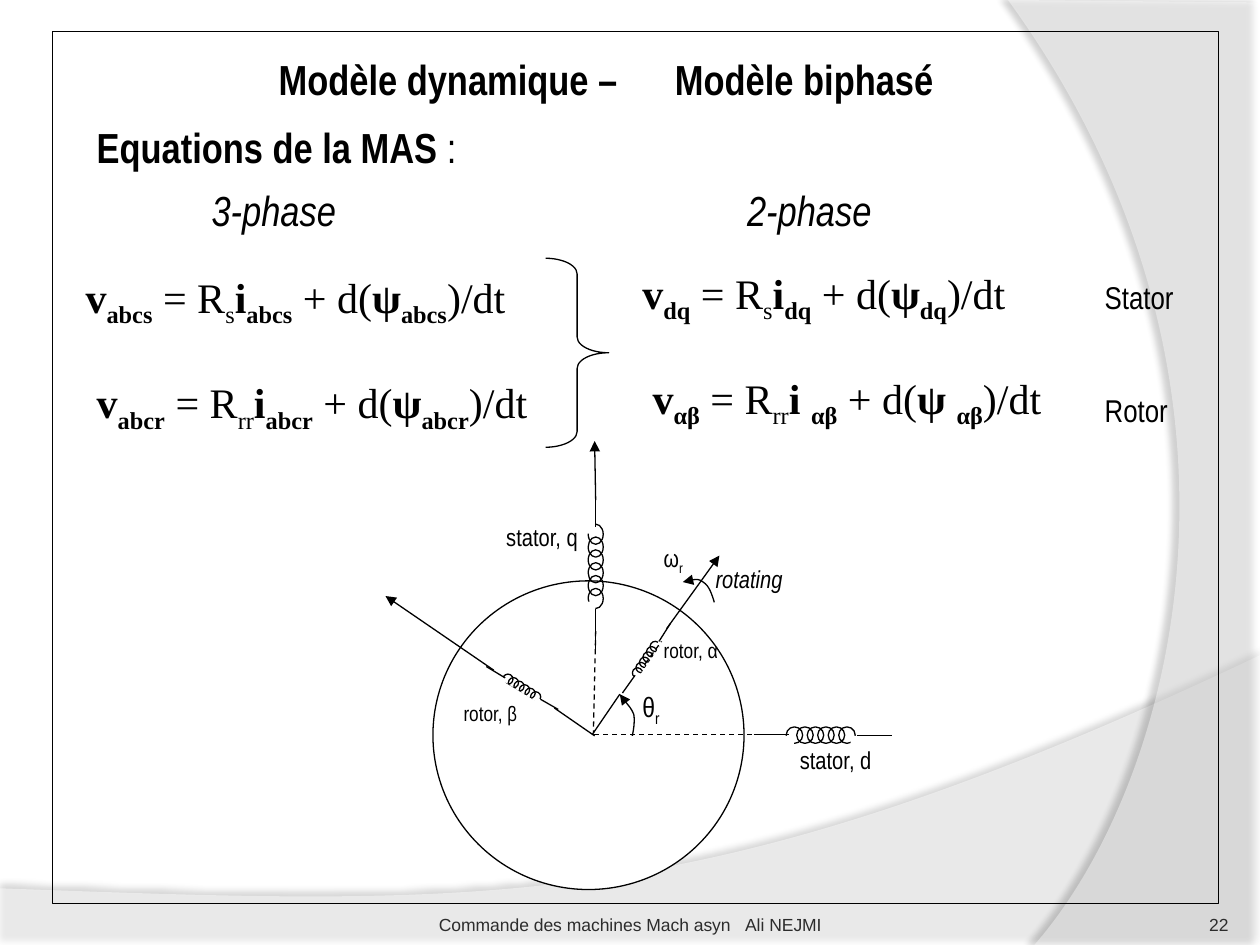
from dataclasses import dataclass
from typing import NamedTuple

from lxml import etree
from pptx import Presentation
from pptx.dml.color import RGBColor
from pptx.enum import dml, shapes, text
from pptx.oxml import ns
from pptx.util import Pt

BLACK = RGBColor(0x00, 0x00, 0x00)
WHITE = RGBColor(0xFF, 0xFF, 0xFF)
FOOTER_GREY = RGBColor(0x2C, 0x2C, 0x2C)
NARROW, SERIF, SANS = "Arial Narrow", "Times New Roman", "Arial"
LINE_WIDTH = 0.75
LOOPS = 6
Point = tuple[float, float]
Segment = tuple[Point, ...]  # one point for a line, three for a Bézier curve
Shape = shapes.MSO_SHAPE


class Run(NamedTuple):
    text: str
    bold: bool = False
    italic: bool = False
    subscript: bool = False


class Wire(NamedTuple):
    start: Point
    end: Point
    dashed: bool = False
    arrow: bool = False


class Mask(NamedTuple):
    """White rectangle hiding a part of a coil's loops."""
    center: Point
    size: Point


@dataclass
class Coil:
    first: Point
    step: Point
    loop: Point
    rotation: float
    masks: list[Mask]


@dataclass
class Label:
    box: tuple[float, float, float, float]
    runs: list[Run]
    size: float
    font: str = NARROW
    wrap: bool = True
    middle: bool = False


def equation(box, subscript: str, resistance: str, gap: str = "") -> Label:
    index = Run(subscript, bold=True, subscript=True)
    runs = [Run("v", True), index, Run(" = R"), Run(resistance, subscript=True),
            Run("i" + gap, True), index, Run(" + d("), Run("ψ" + gap, True), index, Run(")/dt")]
    return Label(box, runs, 24, SERIF, wrap=False, middle=True)


COILS = [
    Coil((454, 420.1), (6, 0), (9.4, 9.4), 0,
         [Mask((449.3, 425.2), (8.6, 9.4)), Mask((490.3, 425.2), (8.6, 9.4))]),
    Coil((340.4, 305.3), (0, 7.34), (11.5, 8.6), 90,
         [Mask((335.9, 299.5), (10.8, 8.6)), Mask((335.9, 349.2), (10.8, 8.6))]),
    Coil((364.3, 384.5), (2.02, -3.02), (5.8, 5.8), 304.9,
         [Mask((374.8, 380.2), (25.2, 8.6)), Mask((364.7, 388.1), (5, 5.8)),
          Mask((379.1, 367.9), (5, 5.8))]),
    Coil((290.2, 388.1), (3.17, 2.02), (5.8, 5.8), 31.1,
         [Mask((294.8, 398.9), (25.2, 8.6)), Mask((286.2, 389.5), (5, 5.8)),
          Mask((307.8, 402.5), (5, 5.8))]),
]
WIRES = [
    # stator d
    Wire((430.6, 419.8), (450.7, 419.8)), Wire((489.6, 420.2), (509.8, 420.2)),
    Wire((429.8, 419.8), (337, 419.8), dashed=True),
    # stator q
    Wire((340.4, 276.5), (340.4, 301)), Wire((340.4, 347.8), (340.4, 372.2)),
    Wire((340.4, 360.7), (339.1, 419), dashed=True),
    Wire((340.4, 285.8), (339.8, 252), arrow=True),
    # rotor α
    Wire((355.7, 396), (362.9, 385.9)), Wire((376.6, 366.5), (383, 356.4)),
    Wire((354.2, 396.7), (338.4, 419.8)), Wire((368.6, 379.4), (378, 366.5), dashed=True),
    Wire((380.9, 359.3), (411.1, 317.5), arrow=True),
    # rotor β
    Wire((277.9, 380.9), (288.7, 387.4)), Wire((308.9, 399.6), (319, 405.4)),
    Wire((316.8, 404.6), (339.8, 420.5)), Wire((282.2, 383), (220.3, 340.6), arrow=True),
]
DIAGRAM_LABELS = [
    Label((360, 390.2, 37.4, 22.3), [Run("θ"), Run("r", subscript=True)], 16),
    Label((282.2, 294.5, 66.2, 23.8), [Run("stator, q")], 14),
    Label((257.8, 396.7, 64, 35.3), [Run("rotor, β")], 12),
    Label((372.2, 360.7, 84.2, 35.3), [Run("rotor, α")], 12),
    Label((450, 422.4, 74.9, 35.3), [Run("stator, d")], 14),
    Label((401.8, 318.5, 52.6, 23.8), [Run("rotating", italic=True)], 14, wrap=False),
    Label((372.2, 306.7, 26.6, 23.8), [Run("ω"), Run("r", subscript=True)], 14, wrap=False),
]
SLIDE_LABELS = [
    equation((41.8, 153.4, 267, 36), "abcs", "s"),
    equation((48.2, 213.8, 276.5, 36), "abcr", "rr"),
    equation((360, 151.2, 229.7, 36), "dq", "s"),
    equation((365.8, 211, 249, 36), "αβ", "rr", gap=" "),
    Label((48.2, 65.8, 222.5, 36.7), [Run("Equations de la MAS", True), Run(" :")], 24, wrap=False),
    Label((113.8, 102.2, 85.7, 36), [Run("3-phase", italic=True)], 24, wrap=False),
    Label((419.8, 102.2, 85.7, 36), [Run("2-phase", italic=True)], 24, wrap=False),
]


def format_runs(paragraph, size: float, font: str, color=BLACK, bold=None) -> None:
    for run in paragraph.runs:
        run.font.size, run.font.name = Pt(size), font
        run.font.color.rgb = color
        if bold is not None:
            run.font.bold = bold


def add_box(parent, box):
    return parent.add_textbox(*map(Pt, box))


def draw_label(parent, label: Label) -> None:
    frame = add_box(parent, label.box).text_frame
    frame.word_wrap = label.wrap
    if label.middle:
        frame.vertical_anchor = text.MSO_ANCHOR.MIDDLE
    paragraph = frame.paragraphs[0]
    for part in label.runs:
        run = paragraph.add_run()
        run.text = part.text
        run.font.bold, run.font.italic = part.bold, part.italic
        if part.subscript:
            run._r.get_or_add_rPr().set("baseline", "-25000")
    format_runs(paragraph, label.size, label.font)


def set_tab(paragraph, position: float) -> None:
    tabs = etree.SubElement(paragraph._p.get_or_add_pPr(), ns.qn("a:tabLst"))
    etree.SubElement(tabs, ns.qn("a:tab"), pos=str(Pt(position)), algn="l")


def set_line(line, dashed: bool = False, arrow: bool = False) -> None:
    line.color.rgb, line.width = BLACK, Pt(LINE_WIDTH)
    if dashed:
        line.dash_style = dml.MSO_LINE.DASH
    if arrow:
        etree.SubElement(line._get_or_add_ln(), ns.qn("a:tailEnd"), type="triangle")


def draw_shape(parent, kind, center: Point, size: Point, rotation=0.0, filled=False, outlined=True):
    corner = [c - s / 2 for c, s in zip(center, size)]
    shape = parent.add_shape(kind, *map(Pt, (*corner, *size)))
    shape.rotation, shape.shadow.inherit = rotation, False
    if filled:
        shape.fill.solid()
        shape.fill.fore_color.rgb = WHITE
    else:
        shape.fill.background()
    if outlined:
        set_line(shape.line)
    else:
        shape.line.fill.background()
    return shape


def draw_coil(parent, coil: Coil) -> None:
    for i in range(LOOPS):
        center = (coil.first[0] + i * coil.step[0], coil.first[1] + i * coil.step[1])
        draw_shape(parent, Shape.OVAL, center, coil.loop, coil.rotation)
    for mask in coil.masks:
        draw_shape(parent, Shape.RECTANGLE, *mask, coil.rotation, filled=True, outlined=False)


def draw_wire(parent, wire: Wire) -> None:
    line = parent.add_connector(shapes.MSO_CONNECTOR.STRAIGHT, *map(Pt, (*wire.start, *wire.end)))
    set_line(line.line, wire.dashed, wire.arrow)
    etree.SubElement(line._element.spPr, ns.qn("a:effectLst"))


def draw_outline(parent, start: Point, segments: list[Segment], close: bool):
    """Build the outline from its corners, then bend the segments that have control points."""
    builder = parent.build_freeform(*map(Pt, start))
    builder.add_line_segments([tuple(map(Pt, segment[-1])) for segment in segments], close=close)
    shape = builder.convert_to_shape()
    shape.shadow.inherit = False
    corners = [start] + [segment[-1] for segment in segments]
    left, top = (min(values) for values in zip(*corners))
    lines = list(shape._element.iter(ns.qn("a:lnTo")))
    for line, segment in zip(lines, segments):
        if len(segment) == 3:
            line.tag = ns.qn("a:cubicBezTo")
            for index, (x, y) in enumerate(segment[:2]):
                control = etree.Element(ns.qn("a:pt"), x=str(Pt(x - left)), y=str(Pt(y - top)))
                line.insert(index, control)
    return shape


def draw_swoosh(parent, start, segments, opacity: int, shadow_opacity: int, distance: float, angle: int):
    shape = draw_outline(parent, start, segments, close=True)
    shape.fill.solid()
    shape.fill.fore_color.rgb = WHITE
    shape.line.fill.background()
    properties = shape._element.spPr
    fill_color = properties.find(ns.qn("a:solidFill"))[0]
    etree.SubElement(fill_color, ns.qn("a:alpha"), val=str(opacity * 1000))
    shadow = etree.SubElement(properties.find(ns.qn("a:effectLst")), ns.qn("a:outerShdw"),
                              blurRad=str(Pt(4)), dist=str(Pt(distance)), dir=str(angle * 60000),
                              algn="ctr", rotWithShape="0")
    color = etree.SubElement(shadow, ns.qn("a:srgbClr"), val=str(BLACK))
    etree.SubElement(color, ns.qn("a:alpha"), val=str(shadow_opacity * 1000))


def draw_arc_arrow(parent, start: Point, segments: list[Segment]) -> None:
    shape = draw_outline(parent, start, segments, close=False)
    shape.fill.background()
    set_line(shape.line, arrow=True)


def draw_diagram(parent) -> None:
    draw_shape(parent, Shape.OVAL, (336.3, 420.1), (177.8, 176.4), filled=True)
    for coil in COILS:
        draw_coil(parent, coil)
    for wire in WIRES:
        draw_wire(parent, wire)
    draw_arc_arrow(parent, (361.4, 420.5), [((362.2, 416.2), (362.9, 412.6), (362.2, 408.2)),
                                            ((360.7, 404.6), (355, 398.2), (354.2, 396.7))])
    draw_arc_arrow(parent, (408.2, 344.2), [((406.8, 339.8), (405.4, 334.8), (401.8, 332.6)),
                                            ((398.9, 330.5), (394.6, 331.2), (390.2, 332.6))])
    for label in DIAGRAM_LABELS:
        draw_label(parent, label)


def fill_title(title) -> None:
    title.left, title.top, title.width, title.height = map(Pt, (131.8, 30.2, 426.2, 59.8))
    frame = title.text_frame
    frame.text = "Modèle dynamique –\tModèle biphasé"
    frame.vertical_anchor, frame.margin_left = text.MSO_ANCHOR.TOP, Pt(27.4)
    paragraph = frame.paragraphs[0]
    paragraph.alignment, paragraph.line_spacing = text.PP_ALIGN.LEFT, 0.9
    set_tab(paragraph, 226.5)
    format_runs(paragraph, 24, NARROW, bold=True)


def draw_footer(parent, box, words: str, alignment, inset: float = 0, tab: float = 0) -> None:
    frame = add_box(parent, box).text_frame
    frame.text, frame.word_wrap = words, True
    frame.vertical_anchor = text.MSO_ANCHOR.BOTTOM
    frame.margin_left, frame.margin_right, frame.margin_bottom = Pt(inset), 0, 0
    paragraph = frame.paragraphs[0]
    paragraph.alignment = alignment
    if tab:
        set_tab(paragraph, tab)
    format_runs(paragraph, 10, SANS, FOOTER_GREY)


def draw_side_labels(parent) -> None:
    frame = add_box(parent, (624.2, 155.5, 77.8, 94.3)).text_frame
    frame.text, frame.word_wrap = "Stator\nRotor", True
    for paragraph in frame.paragraphs:
        format_runs(paragraph, 18, NARROW)
    frame.paragraphs[1].space_before = Pt(43)


def main() -> None:
    presentation = Presentation()
    presentation.slide_width, presentation.slide_height = Pt(720), Pt(540)
    slide = presentation.slides.add_slide(presentation.slide_layouts[5])
    parent = slide.shapes
    draw_swoosh(parent, (0, 507.6), [((0, 540.7),), ((720, 540.7),), ((720, 374.4),),
                                     ((402.5, 524.9), (281.5, 517.7), (0, 507.6))], 45, 35, 3.5, 270)
    draw_swoosh(parent, (720, 1.4), [((720, 540),), ((591.1, 540),),
                                     ((673.2, 445.7), (733, 216), (576, 0))], 40, 45, 4, 180)
    fill_title(parent.title)
    draw_shape(parent, Shape.RECTANGLE, (363.2, 267.1), (666, 498.2))
    brace = draw_shape(parent, Shape.RIGHT_BRACE, (329.8, 201.6), (36, 108))
    brace.adjustments[0] = 0.25
    draw_diagram(parent.add_group_shape().shapes)
    for label in SLIDE_LABELS:
        draw_label(parent, label)
    draw_side_labels(parent)
    draw_footer(parent, (642.2, 505.4, 59.8, 28.8), "22", text.PP_ALIGN.RIGHT)
    draw_footer(parent, (246.2, 505.4, 228.2, 28.8), "Commande des machines Mach asyn\tAli NEJMI",
                text.PP_ALIGN.LEFT, inset=4.6, tab=175)
    presentation.save("out.pptx")


if __name__ == "__main__":
    main()
